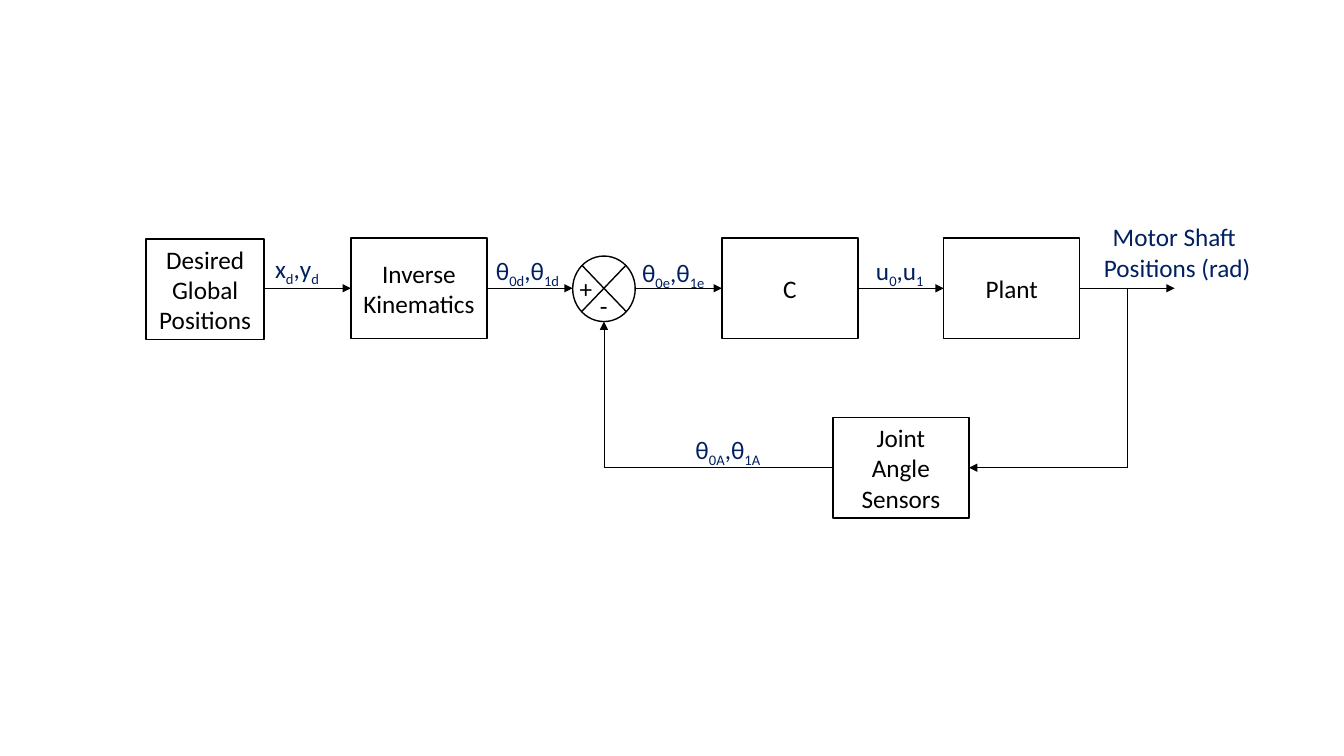
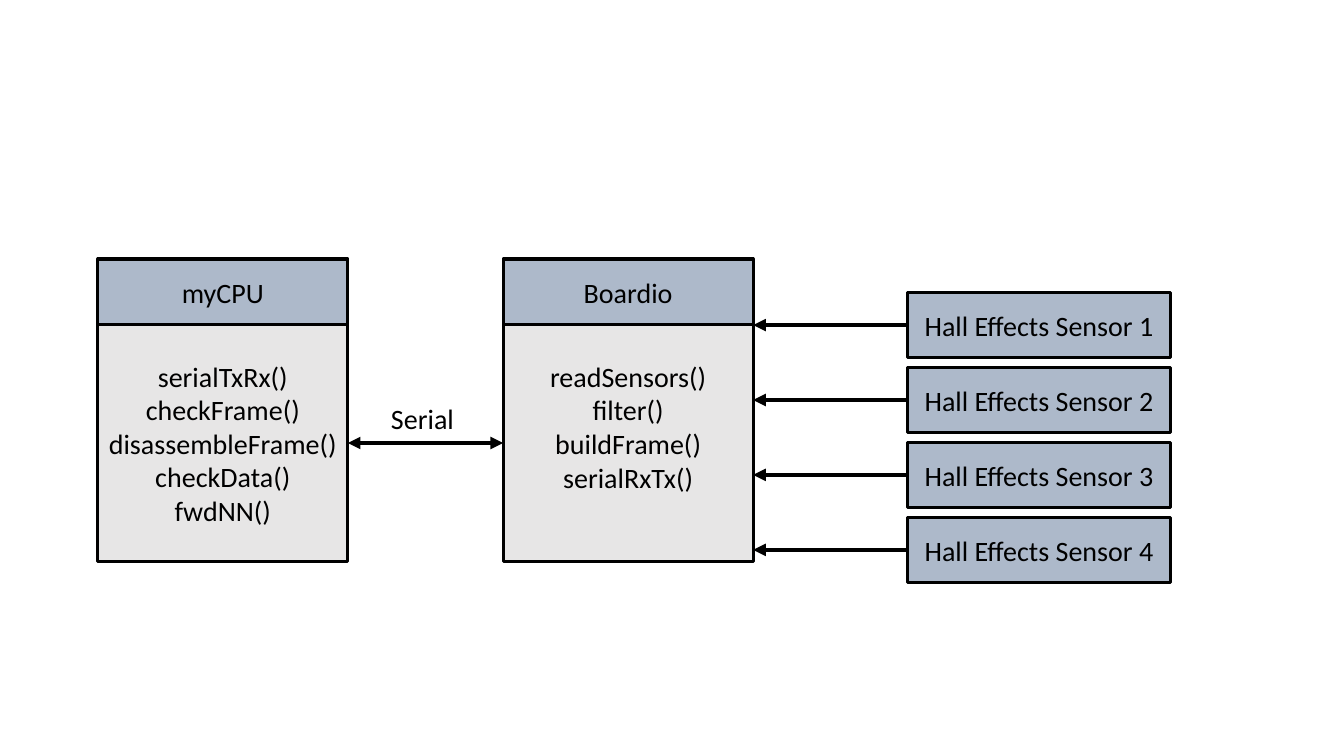
"""Build two block diagrams: a joint control loop and a sensor network."""
from dataclasses import dataclass

from lxml import etree
from pptx import Presentation
from pptx.dml.color import RGBColor
from pptx.enum.shapes import MSO_CONNECTOR, MSO_SHAPE
from pptx.enum.text import MSO_ANCHOR, MSO_AUTO_SIZE, PP_ALIGN
from pptx.oxml.ns import qn
from pptx.util import Inches, Pt

RECT, OVAL = MSO_SHAPE.RECTANGLE, MSO_SHAPE.OVAL
STRAIGHT = MSO_CONNECTOR.STRAIGHT
LEFT, CENTER = PP_ALIGN.LEFT, PP_ALIGN.CENTER
TOP, MIDDLE = MSO_ANCHOR.TOP, MSO_ANCHOR.MIDDLE
GROW = MSO_AUTO_SIZE.SHAPE_TO_FIT_TEXT


@dataclass(frozen=True)
class Theme:
    font: str = "Calibri"
    ink: str = "000000"
    signal: str = "002060"
    paper: str = "FFFFFF"
    header: str = "ADB9CA"
    body: str = "E7E6E6"
    loop_size: int = 18
    network_size: int = 20
    thin: float = 0.5
    outline: float = 1
    frame: float = 2.25
    link: float = 3


class Diagram:
    def __init__(self, prs, theme):
        self.prs, self.theme = prs, theme

    def new_slide(self, size, fill, outline, wire):
        self.s = self.prs.slides.add_slide(self.prs.slide_layouts[6])
        self.size, self.fill, self.outline, self.wire = size, fill, outline, wire

    def set_text(self, tf, lines, color, align, **frame):
        for name, value in frame.items():
            setattr(tf, name, value)
        style = {"name": self.theme.font, "size": Pt(self.size)}
        for i, line in enumerate(lines):
            p = tf.add_paragraph() if i else tf.paragraphs[0]
            p.alignment = align
            for j, part in enumerate(line.split("|")):
                r = p.add_run()
                r.text = part
                for name, value in style.items():
                    setattr(r.font, name, value)
                r.font.color.rgb = RGBColor.from_string(color)
                if j % 2:
                    r._r.get_or_add_rPr().set("baseline", "-25000")

    def box(self, x, y, w, h, lines=(), fill=None, kind=RECT, bottom=0.05):
        sp = self.s.shapes.add_shape(kind, *map(Inches, (x, y, w, h)))
        sp.shadow.inherit = False
        sp.fill.solid()
        sp.fill.fore_color.rgb = RGBColor.from_string(fill or self.fill)
        sp.line.color.rgb = RGBColor.from_string(self.theme.ink)
        sp.line.width = Pt(self.outline)
        self.set_text(sp.text_frame, lines, self.theme.ink, CENTER, word_wrap=True,
                      vertical_anchor=MIDDLE, margin_bottom=Inches(bottom))

    def label(self, x, y, w, h, lines, color=None, align=LEFT):
        sp = self.s.shapes.add_textbox(*map(Inches, (x, y, w, h)))
        self.set_text(sp.text_frame, lines, color or self.theme.ink, align,
                      word_wrap=False, auto_size=GROW, vertical_anchor=TOP)

    def line(self, x1, y1, x2, y2, ends=(), width=None):
        cx = self.s.shapes.add_connector(STRAIGHT, *map(Inches, (x1, y1, x2, y2)))
        cx.line.color.rgb = RGBColor.from_string(self.theme.ink)
        cx.line.width = Pt(width or self.wire)
        sp_pr = cx._element.spPr
        for end in ends:
            etree.SubElement(sp_pr.get_or_add_ln(), qn(end), type="triangle")
        etree.SubElement(sp_pr, qn("a:effectLst"))

    def arrow(self, x1, y1, x2, y2, both=False):
        self.line(x1, y1, x2, y2, ("a:headEnd", "a:tailEnd") if both else ("a:tailEnd",))


def control_loop(d):
    t = d.theme
    d.new_slide(t.loop_size, t.paper, t.outline, t.thin)
    axis, back, box_w, box_h = 2.86, 4.64, 1.35, 1
    sum_x, sum_y, sum_w, sum_h = 5.68, 2.54, 0.62, 0.65
    mid, tap, sensor_x = sum_x + sum_w / 2, 11.18, 8.26
    top = axis - box_h / 2

    d.box(1.45, top + 0.01, 1.17, box_h, ["Desired", "Global", "Positions"])
    for x, lines in ((3.48, ["Inverse", "Kinematics"]), (7.16, ["C"]), (9.36, ["Plant"])):
        d.box(x, top, box_w, box_h, lines)
    d.box(sensor_x, back - box_h / 2, box_w, box_h, ["Joint", "Angle", "Sensors"])

    d.box(sum_x, sum_y, sum_w, sum_h, kind=OVAL)
    for y1, y2 in ((2.63, 3.09), (3.09, 2.63)):
        d.line(5.77, y1, 6.21, y2, width=t.outline)
    d.label(5.65, 2.66, 0.33, 0.4, ["+"])
    d.label(5.85, 2.83, 0.28, 0.4, ["-"])

    for x1, x2 in ((2.62, 3.48), (4.83, sum_x), (sum_x + sum_w, 7.16),
                   (8.51, 9.36), (10.71, 11.65)):
        d.arrow(x1, axis, x2, axis)
    d.line(tap, axis, tap, back)
    d.arrow(tap, back, sensor_x + box_w, back)
    d.line(sensor_x, back, mid, back)
    d.arrow(mid, back, mid, sum_y + sum_h)

    for x, y, w, text in ((2.63, 2.46, 0.66, "x|d|,y|d"),
                          (4.82, 2.48, 0.88, "θ|0d|,θ|1d"),
                          (6.8, 4.26, 0.9, "θ|0A|,θ|1A"),
                          (6.27, 2.5, 0.9, "θ|0e|,θ|1e"),
                          (8.59, 2.48, 0.7, "u|0|,u|1")):
        d.label(x, y, w, 0.4, [text], t.signal)
    d.label(10.84, 2.15, 1.67, 0.71, ["Motor Shaft ", "Positions (rad)"], t.signal, CENTER)


def sensor_network(d):
    t = d.theme
    d.new_slide(t.network_size, t.header, t.frame, t.link)
    top, head_h, body_h, unit_w = 2.57, 0.65, 2.35, 2.48
    host_x, board_x, sensor_x = 0.97, 4.99, 9
    units = (
        (host_x, "myCPU", 0.05, ["serialTxRx()", "checkFrame()", "disassembleFrame()",
                                 "checkData()", "fwdNN()"]),
        (board_x, "Boardio", 0.38, ["readSensors()", "filter()", "buildFrame()",
                                    "serialRxTx()"]),
    )
    for x, name, bottom, calls in units:
        d.box(x, top, unit_w, head_h, [name])
        d.box(x, top + head_h, unit_w, body_h, calls, t.body, bottom=bottom)

    first, last, count = 2.9, 5.13, 4
    for i in range(count):
        y = first + i * (last - first) / (count - 1)
        d.box(sensor_x, y, 2.61, head_h, [f"Hall Effects Sensor {i + 1}"])
        d.arrow(sensor_x, y + head_h / 2, board_x + unit_w, y + head_h / 2)

    link_y = top + head_h + body_h / 2
    d.arrow(host_x + unit_w, link_y, board_x, link_y, both=True)
    d.label(3.78, 3.93, 0.83, 0.44, ["Serial"])


def main():
    prs = Presentation()
    prs.slide_width, prs.slide_height = Inches(13.33), Inches(7.5)
    d = Diagram(prs, Theme())
    control_loop(d)
    sensor_network(d)
    prs.save("out.pptx")


if __name__ == "__main__":
    main()
